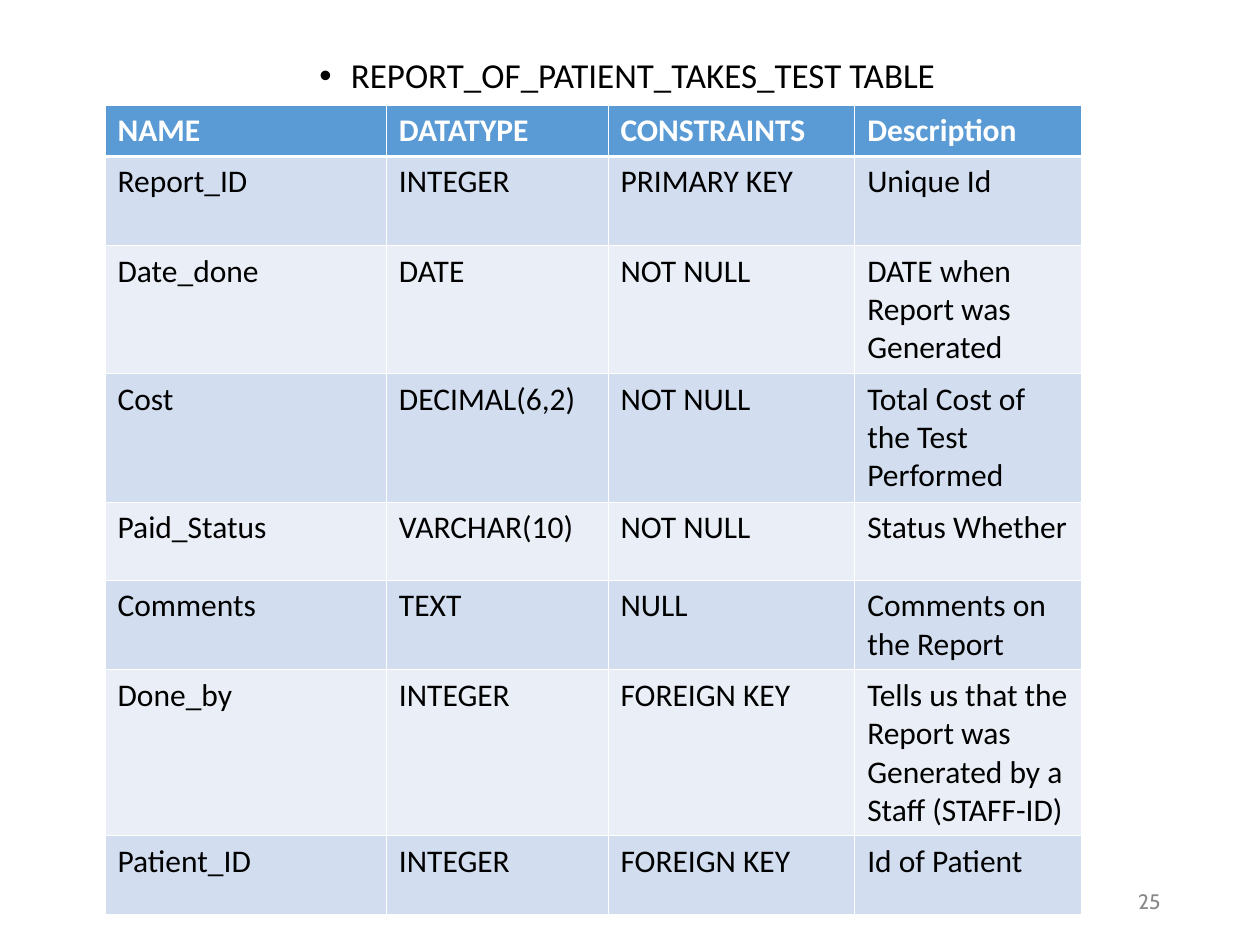
from lxml.etree import SubElement
from pptx import Presentation
from pptx.dml.color import RGBColor
from pptx.enum.text import MSO_ANCHOR, PP_ALIGN
from pptx.oxml.ns import qn
from pptx.util import Inches, Pt

THEME = {
    "font": "Calibri", "number_font": "Cabin",
    "title_size": 20, "cell_size": 18, "number_size": 12,
    "text": "000000", "header_text": "FFFFFF", "number": "898989",
    "header": "5B9BD5", "bands": ("D2DEEF", "EAEFF7"),
    "border": "FFFFFF", "thin": 0.45, "thick": 1.47,
}
ROWS = [
    ("NAME", "DATATYPE", "CONSTRAINTS", "Description"),
    ("Report_ID", "INTEGER", "PRIMARY KEY", "Unique Id"),
    ("Date_done", "DATE", "NOT NULL", "DATE when Report was Generated"),
    ("Cost", "DECIMAL(6,2)", "NOT NULL", "Total Cost of the Test Performed"),
    ("Paid_Status", "VARCHAR(10)", "NOT NULL", "Status Whether"),
    ("Comments", "TEXT", "NULL", "Comments on the Report"),
    ("Done_by", "INTEGER", "FOREIGN KEY",
     "Tells us that the Report was Generated by a Staff (STAFF-ID)"),
    ("Patient_ID", "INTEGER", "FOREIGN KEY", "Id of Patient"),
]
COL_UNITS = (26.8, 21.1, 23.5, 21.6)
ROW_UNITS = (4.9, 8.5, 12.2, 12.2, 7.5, 8.5, 15.8, 7.5)

prs = Presentation()
prs.slide_width, prs.slide_height = Inches(10), Inches(7.5)
UNIT = prs.slide_width / 120
s = prs.slides.add_slide(prs.slide_layouts[6])


def grid(*units):
    return [round(u * UNIT) for u in units]


def write(tf, text, size, color, font=THEME["font"], bold=False):
    tf.text = text
    tf.word_wrap = True
    p = tf.paragraphs[0]
    r = p.runs[0]
    r.font.size, r.font.name, r.font.bold = Pt(size), font, bold
    r.font.color.rgb = RGBColor.from_string(color)
    return p


number = s.shapes.add_textbox(*grid(84.7, 83.4, 27, 4.8))
number.text_frame.vertical_anchor = MSO_ANCHOR.MIDDLE
p = write(number.text_frame, "25", THEME["number_size"], THEME["number"], THEME["number_font"])
p.alignment = PP_ALIGN.RIGHT

title = s.shapes.add_textbox(*grid(8, 5, 103.5, 8))
p = write(title.text_frame, "REPORT_OF_PATIENT_TAKES_TEST TABLE", THEME["title_size"], THEME["text"])
p.alignment = PP_ALIGN.CENTER
p.line_spacing = 0.9
p.space_before = Pt(10)
pPr = p._p.get_or_add_pPr()
indent = grid(3)[0]
pPr.set("marL", str(indent))
pPr.set("indent", str(-indent))
SubElement(SubElement(pPr, qn("a:buClr")), qn("a:srgbClr"), val=THEME["text"])
SubElement(pPr, qn("a:buFont"), typeface="Arial")
SubElement(pPr, qn("a:buChar"), char="•")

frame = s.shapes.add_table(len(ROWS), len(COL_UNITS), *grid(10, 10, sum(COL_UNITS), sum(ROW_UNITS)))
table = frame.table
table.horz_banding = False
for col, width in zip(table.columns, grid(*COL_UNITS)):
    col.width = width
for row, height in zip(table.rows, grid(*ROW_UNITS)):
    row.height = height

for i, values in enumerate(ROWS):
    header = i == 0
    fill = THEME["header"] if header else THEME["bands"][(i - 1) % 2]
    color = THEME["header_text"] if header else THEME["text"]
    for j, value in enumerate(values):
        cell = table.cell(i, j)
        write(cell.text_frame, value, THEME["cell_size"], color, bold=header)
        tcPr = cell._tc.get_or_add_tcPr()
        for side in ("lnL", "lnR", "lnT", "lnB"):
            under_header = (i, side) in ((0, "lnB"), (1, "lnT"))
            width = THEME["thick"] if under_header else THEME["thin"]
            ln = SubElement(tcPr, qn(f"a:{side}"), w=str(Pt(width)))
            SubElement(SubElement(ln, qn("a:solidFill")), qn("a:srgbClr"), val=THEME["border"])
        cell.fill.solid()
        cell.fill.fore_color.rgb = RGBColor.from_string(fill)

prs.save("out.pptx")
